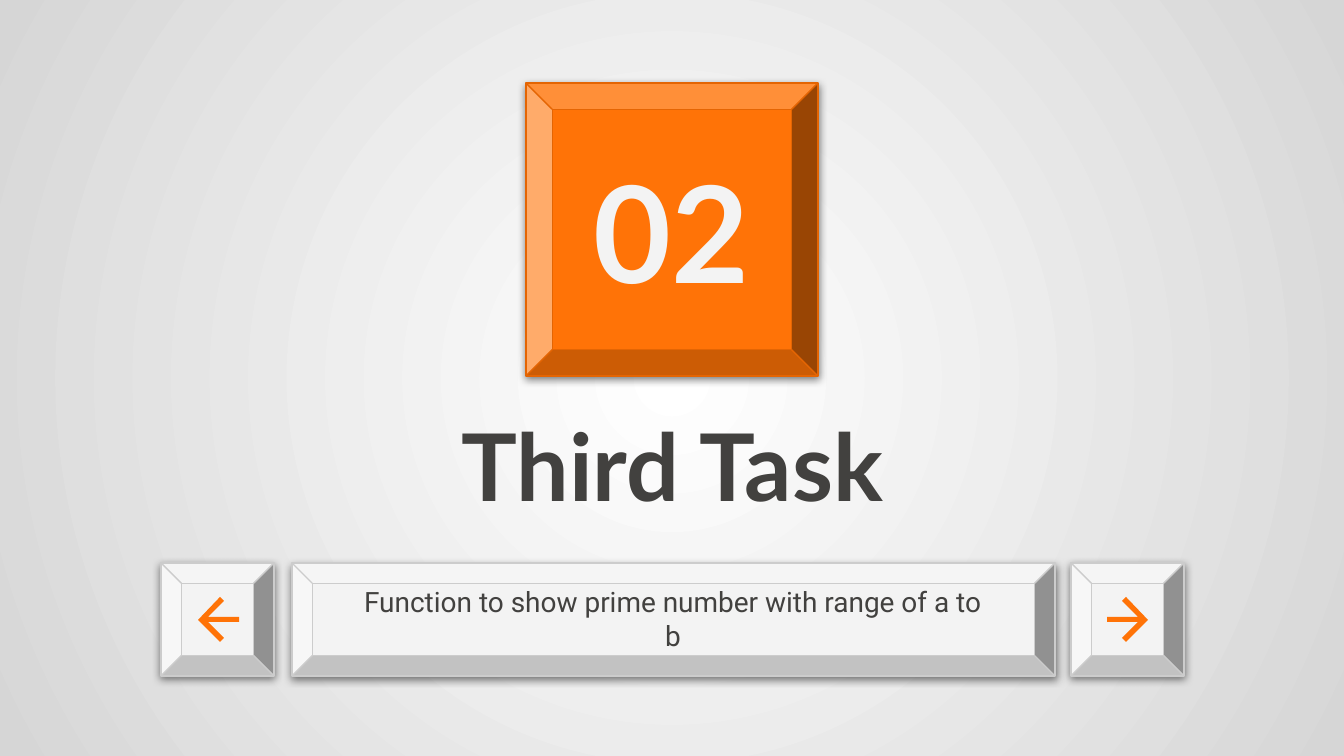
from dataclasses import dataclass

from lxml import etree
from pptx import Presentation
from pptx import util as u
from pptx.dml.color import RGBColor
from pptx.enum import shapes, text
from pptx.oxml import parse_xml
from pptx.oxml.ns import nsdecls, qn

W, H = 1344, 756
SCALE = u.Inches(10) / W
INSET = 13
COLORS = {
    "orange": "FF7307",
    "orange_edge": "E46503",
    "light": "F3F3F3",
    "light_edge": "CCCCCC",
    "dark": "42413F",
    "center": "FFFFFF",
    "rim": "D6D6D6",
    "shadow": "000000",
}


@dataclass
class Box:
    x: int
    y: int
    w: int
    h: int


@dataclass
class Bevel:
    box: Box
    adj: float
    fill: str
    edge: str


@dataclass
class Label:
    box: Box
    words: str
    font: str
    size: int
    color: str
    bold: bool


@dataclass
class Button:
    bevel: Bevel
    arrow: list[tuple[int, int]]


def px(n: float) -> int:
    return round(n * SCALE)


def rgb(name: str) -> RGBColor:
    return RGBColor.from_string(COLORS[name])


def emu(box: Box) -> tuple[int, int, int, int]:
    return px(box.x), px(box.y), px(box.w), px(box.h)


def set_background(s) -> None:
    fill = s.background.fill
    fill.gradient()
    for stop, name, pos in zip(fill.gradient_stops, ("center", "rim"), (0, 1)):
        stop.color.rgb = rgb(name)
        stop.position = pos
    grad = s.element.find(".//" + qn("a:gradFill"))
    grad.replace(grad.find(qn("a:lin")), parse_xml(
        f'<a:path {nsdecls("a")} path="circle">'
        '<a:fillToRect l="50000" t="50000" r="50000" b="50000"/></a:path>'))


def add_shadow(sp) -> None:
    effects = sp.element.spPr.find(qn("a:effectLst"))
    shadow = etree.SubElement(
        effects, qn("a:outerShdw"), blurRad=str(u.Pt(4.5)), dist=str(u.Pt(1.5)),
        dir="5400000", algn="bl", rotWithShape="0")
    color = etree.SubElement(shadow, qn("a:srgbClr"), val=COLORS["shadow"])
    etree.SubElement(color, qn("a:alpha"), val="50000")


def draw_bevel(parent, bevel: Bevel) -> None:
    sp = parent.add_shape(shapes.MSO_SHAPE.BEVEL, *emu(bevel.box))
    sp.adjustments[0] = bevel.adj
    sp.fill.solid()
    sp.fill.fore_color.rgb = rgb(bevel.fill)
    sp.line.color.rgb = rgb(bevel.edge)
    sp.line.width = u.Pt(0.75)
    sp.shadow.inherit = False
    add_shadow(sp)


def draw_label(parent, label: Label) -> None:
    sp = parent.add_textbox(*emu(label.box))
    tf = sp.text_frame
    tf.word_wrap = True
    tf.vertical_anchor = text.MSO_ANCHOR.MIDDLE
    tf.margin_left = tf.margin_right = px(INSET)
    tf.margin_top = tf.margin_bottom = px(INSET)
    tf.text = label.words
    p = tf.paragraphs[0]
    p.alignment = text.PP_ALIGN.CENTER
    r = p.runs[0]
    r.font.name = label.font
    r.font.size = u.Pt(label.size)
    r.font.bold = label.bold
    r.font.color.rgb = rgb(label.color)


def draw_button(parent, button: Button) -> None:
    group = parent.add_group_shape()
    draw_bevel(group.shapes, button.bevel)
    start, *rest = [(px(x), px(y)) for x, y in button.arrow]
    builder = group.shapes.build_freeform(*start)
    builder.add_line_segments(rest, close=True)
    sp = builder.convert_to_shape()
    sp.fill.solid()
    sp.fill.fore_color.rgb = rgb("orange")
    sp.line.fill.background()
    sp.shadow.inherit = False


def key(x: int, w: int) -> Bevel:
    return Bevel(Box(x, 563, w, 113), 0.18, "light", "light_edge")


NEXT_ARROW = [(1126, 597), (1122, 601), (1138, 617), (1107, 617), (1107, 622),
              (1138, 622), (1122, 638), (1126, 642), (1148, 620)]
BACK_ARROW = [(1346 - x, y) for x, y in NEXT_ARROW]

BEVELS = [
    Bevel(Box(526, 83, 292, 293), 0.09, "orange", "orange_edge"),
    key(292, 763),
]
LABELS = [
    Label(Box(304, 376, 737, 176), "Third Task", "Lato", 50, "dark", True),
    Label(Box(347, 586, 652, 65), "Function to show prime number with range of a to b",
          "Roboto", 15, "dark", False),
    Label(Box(546, 130, 251, 199), "02", "Lato", 72, "light", True),
]
BUTTONS = [Button(key(1071, 113), NEXT_ARROW), Button(key(161, 113), BACK_ARROW)]


def main() -> None:
    prs = Presentation()
    prs.slide_width, prs.slide_height = px(W), px(H)
    s = prs.slides.add_slide(prs.slide_layouts[6])
    set_background(s)
    for bevel in BEVELS:
        draw_bevel(s.shapes, bevel)
    for label in LABELS:
        draw_label(s.shapes, label)
    for button in BUTTONS:
        draw_button(s.shapes, button)
    prs.save("out.pptx")


if __name__ == "__main__":
    main()
